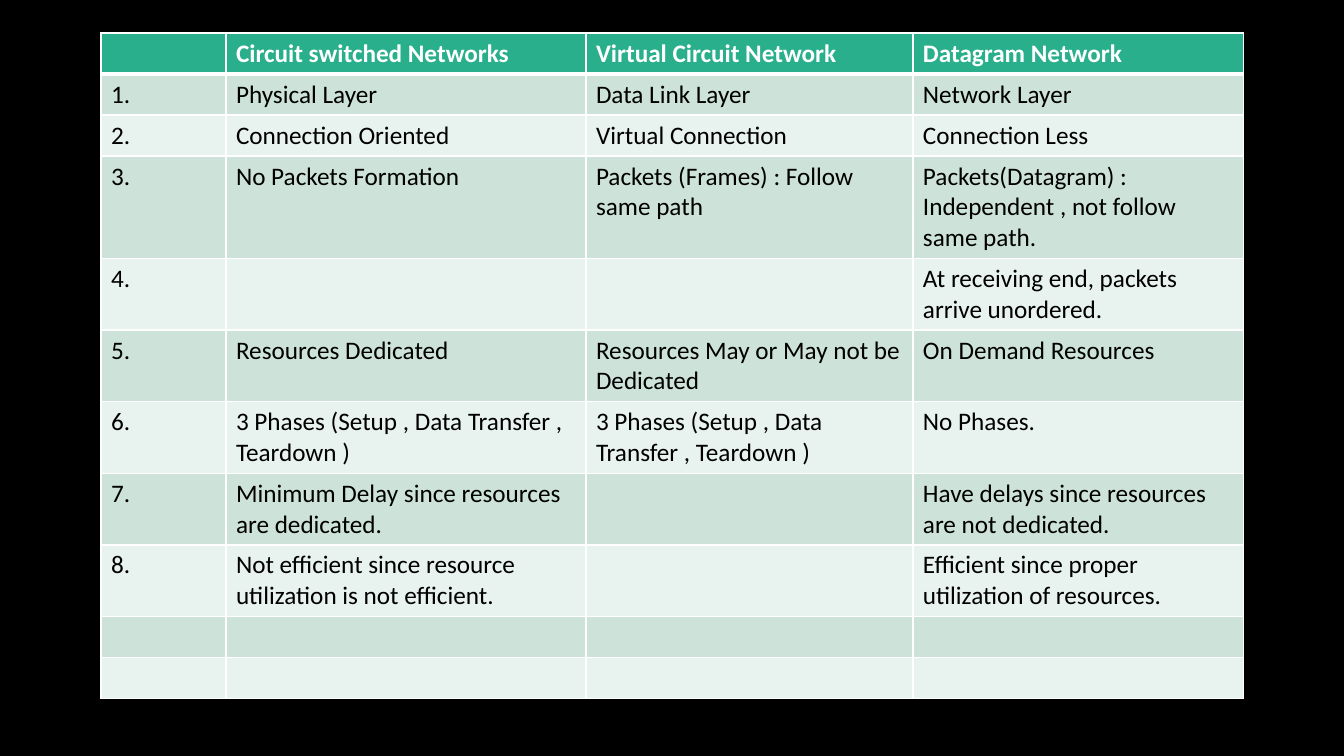
from pptx import Presentation, util as u
from pptx.dml.color import RGBColor
from pptx.oxml import parse_xml
from pptx.oxml.ns import nsdecls

HEADINGS = ("", "Circuit switched Networks", "Virtual Circuit Network", "Datagram Network")
COMPARISONS = [
    ("Physical Layer", "Data Link Layer", "Network Layer"),
    ("Connection Oriented", "Virtual Connection", "Connection Less"),
    ("No Packets Formation", "Packets (Frames) : Follow same path",
     "Packets(Datagram) : Independent , not follow same path."),
    ("", "", "At receiving end, packets arrive unordered."),
    ("Resources Dedicated", "Resources May or May not be Dedicated", "On Demand Resources"),
    ("3 Phases (Setup , Data Transfer , Teardown )",
     "3 Phases (Setup , Data Transfer , Teardown )", "No Phases."),
    ("Minimum Delay since resources are dedicated.", "",
     "Have delays since resources are not dedicated."),
    ("Not efficient since resource utilization is not efficient.", "",
     "Efficient since proper utilization of resources."),
]
SPARE_ROWS = 2
COLORS = {"page": "000000", "header": "29AF8C", "odd": "CDE3DA", "even": "E8F2EE",
          "light": "FFFFFF", "dark": "000000"}

PAGE_WIDTH, PAGE_HEIGHT = 1344, 756
TABLE_LEFT, TABLE_TOP = 101, 33
COLUMN_WIDTHS = (125, 360, 327, 331)
ROW_HEIGHT = 41  # one line of text; rows with longer text grow


def px(length):
    return u.Emu(round(length * 914400 / 100.8))


def color(name):
    return RGBColor.from_string(COLORS[name])


def add_borders(cell, points):
    """Draw white cell borders; points maps the sides L, R, T, B to widths."""
    properties = cell._tc.get_or_add_tcPr()
    for position, side in enumerate("LRTB"):
        properties.insert(position, parse_xml(
            f'<a:ln{side} {nsdecls("a")} w="{u.Pt(points[side])}"><a:solidFill>'
            f'<a:srgbClr val="{COLORS["light"]}"/></a:solidFill></a:ln{side}>'))


def format_cell(cell, words, row):
    is_header = row == 0
    cell.fill.solid()
    cell.fill.fore_color.rgb = color("header" if is_header else "odd" if row % 2 else "even")
    add_borders(cell, {"L": 1, "R": 1, "T": 3 if row == 1 else 1, "B": 3 if is_header else 1})
    para = cell.text_frame.paragraphs[0]
    if words:
        span = para.add_run()
        span.text = words
        for name, value in {"name": "Calibri", "size": u.Pt(18), "bold": is_header}.items():
            setattr(span.font, name, value)
        span.font.color.rgb = color("light" if is_header else "dark")


def main():
    deck = Presentation()
    deck.slide_width, deck.slide_height = px(PAGE_WIDTH), px(PAGE_HEIGHT)
    page = deck.slides.add_slide(deck.slide_layouts[6])
    page.background.fill.solid()
    page.background.fill.fore_color.rgb = color("page")

    rows = [HEADINGS]
    rows += [(f"{number}.", *words) for number, words in enumerate(COMPARISONS, 1)]
    rows += [("",) * len(HEADINGS)] * SPARE_ROWS
    table = page.shapes.add_table(
        len(rows), len(HEADINGS), px(TABLE_LEFT), px(TABLE_TOP),
        px(sum(COLUMN_WIDTHS)), px(ROW_HEIGHT * len(rows))).table
    for column, width in zip(table.columns, COLUMN_WIDTHS):
        column.width = px(width)
    for row, line in enumerate(rows):
        table.rows[row].height = px(ROW_HEIGHT)
        for column, words in enumerate(line):
            format_cell(table.cell(row, column), words, row)
    deck.save("out.pptx")


if __name__ == "__main__":
    main()
